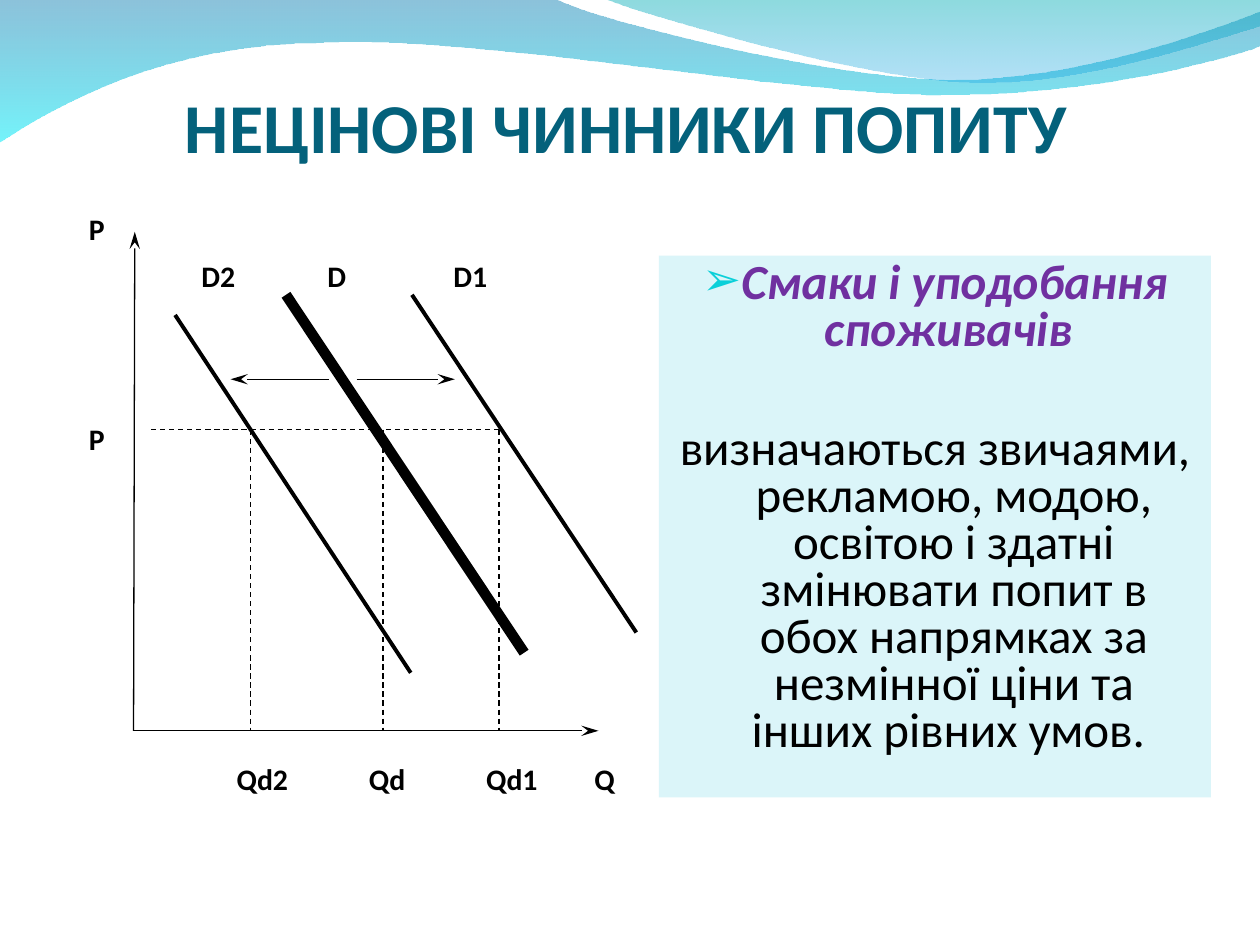
import dataclasses

import lxml.etree
import pptx
import pptx.dml.color
import pptx.enum.dml
import pptx.enum.shapes
import pptx.enum.text
import pptx.oxml.ns
import pptx.util

ALIGN = pptx.enum.text.PP_ALIGN
ANCHOR = pptx.enum.text.MSO_ANCHOR


@dataclasses.dataclass(frozen=True)
class Theme:
    font: str = "Calibri"
    title: str = "04617B"
    ink: str = "000000"
    accent: str = "7030A0"
    bullet: str = "0BD0D9"
    panel: str = "DBF5F9"
    wave: tuple = (("0079AF", 45), ("00EBF8", 55))
    crest: tuple = (("00ADB6", 45), ("009BE5", 30))
    head: int = 40
    body: int = 28
    label: int = 17


def color(code):
    return pptx.dml.color.RGBColor.from_string(code)


def add(parent, tag, **attrs):
    return lxml.etree.SubElement(parent, pptx.oxml.ns.qn(tag), attrs)


def bend(shape, parts):
    lines = iter(list(shape._element.iter(pptx.oxml.ns.qn("a:lnTo"))))
    for part in parts:
        group = [next(lines) for point in part]
        if len(group) == 3:
            curve = lxml.etree.Element(pptx.oxml.ns.qn("a:cubicBezTo"))
            group[0].addprevious(curve)
            for line in group:
                curve.append(line[0])
                line.getparent().remove(line)


class Board:
    def __init__(self, deck, theme, cols=10, rows=7.5):
        self.theme = theme
        self.slide = deck.slides.add_slide(deck.slide_layouts[6])
        self.shapes = self.slide.shapes
        self.col = deck.slide_width / cols
        self.row = deck.slide_height / rows

    def spot(self, x, y):
        return round(x * self.col), round(y * self.row)

    def wave(self, start, parts, stops):
        pen = self.shapes.build_freeform(*self.spot(*start))
        pen.add_line_segments([self.spot(*p) for part in parts for p in part], close=True)
        shape = pen.convert_to_shape()
        bend(shape, parts)
        shape.shadow.inherit = False
        shape.line.fill.background()
        shape.fill.gradient()
        shape.fill.gradient_angle = 270
        for stop, (code, alpha) in zip(shape.fill.gradient_stops, stops):
            stop.color.rgb = color(code)
        tints = shape._element.spPr.iter(pptx.oxml.ns.qn("a:srgbClr"))
        for tint, (code, alpha) in zip(tints, stops):
            add(tint, "a:alpha", val=str(alpha * 1000))

    def line(self, start, end, width=0.75, dash=False, arrow=False):
        kind = pptx.enum.shapes.MSO_CONNECTOR.STRAIGHT
        line = self.shapes.add_connector(kind, *self.spot(*start), *self.spot(*end))
        line.line.color.rgb = color(self.theme.ink)
        line.line.width = pptx.util.Pt(width)
        if dash:
            line.line.dash_style = pptx.enum.dml.MSO_LINE.DASH
        if arrow:
            add(line.line._get_or_add_ln(), "a:tailEnd", type="stealth", w="med", len="lg")
        add(line._element.spPr, "a:effectLst")

    def run(self, para, text, size, code, bold=True, italic=False):
        run = para.add_run()
        run.text = text
        font = run.font
        font.name, font.size = self.theme.font, pptx.util.Pt(size)
        font.bold, font.italic = bold, italic
        font.color.rgb = color(code)

    def text(self, at, size, text, hue, code, align=ALIGN.LEFT, anchor=ANCHOR.TOP, side=0.1):
        box = self.shapes.add_textbox(*self.spot(*at), *self.spot(*size))
        frame = box.text_frame
        frame.word_wrap = True
        frame.vertical_anchor = anchor
        frame.margin_left = frame.margin_right = round(side * self.col)
        if anchor == ANCHOR.BOTTOM:
            frame.margin_bottom = 0
        frame.paragraphs[0].alignment = align
        self.run(frame.paragraphs[0], text, hue, code)

    def label(self, x, y, text, align=ALIGN.LEFT):
        self.text((x, y), (0.66, 0.59), text, self.theme.label, self.theme.ink, align)

    def panel(self, at, size, lead, note):
        kind = pptx.enum.shapes.MSO_SHAPE.RECTANGLE
        box = self.shapes.add_shape(kind, *self.spot(*at), *self.spot(*size))
        box.shadow.inherit = False
        box.fill.solid()
        box.fill.fore_color.rgb = color(self.theme.panel)
        box.line.fill.background()
        frame = box.text_frame
        frame.word_wrap = True
        frame.vertical_anchor = ANCHOR.TOP
        first, last = frame.paragraphs[0], frame.add_paragraph()
        indent = round(0.3 * self.col)
        for para, gap in ((first, 7), (last, 41)):
            para.alignment = ALIGN.CENTER
            para.line_spacing = 0.8
            para.space_before = pptx.util.Pt(gap)
            props = para._p.get_or_add_pPr()
            props.set("marL", str(indent))
            props.set("indent", str(-indent))
        props = first._p.get_or_add_pPr()
        add(add(props, "a:buClr"), "a:srgbClr", val=self.theme.bullet)
        add(props, "a:buSzPct", val="95000")
        add(props, "a:buFont", typeface=self.theme.font)
        add(props, "a:buChar", char="➢")
        self.run(first, lead, self.theme.body, self.theme.accent, italic=True)
        self.run(last, note, self.theme.body, self.theme.ink, bold=False)


def main():
    deck = pptx.Presentation()
    deck.slide_width = pptx.util.Inches(10)
    deck.slide_height = pptx.util.Inches(7.5)
    theme = Theme()
    board = Board(deck, theme)

    board.wave((0, -0.01), [
        [(4.4, -0.01)],
        [(4.76, 0.17), (6.64, 0.63), (7.58, 0.63)],
        [(8.53, 0.63), (9.58, 0.26), (10, 0.09)],
        [(10.01, 0.36)],
        [(9.83, 0.44), (8.7, 0.76), (7.46, 0.75)],
        [(6.22, 0.75), (3.82, 0.28), (2.57, 0.34)],
        [(1.29, 0.35), (0.46, 0.83), (-0.01, 1.13)],
    ], theme.wave)
    board.wave((4.79, -0.01), [
        [(5.09, 0.11), (6.82, 0.62), (7.69, 0.65)],
        [(8.56, 0.69), (9.61, 0.32), (10, 0.21)],
        [(10, 0)],
    ], theme.crest)
    board.text((0.47, 0.39), (9, 0.94), "НЕЦІНОВІ ЧИННИКИ ПОПИТУ",
               theme.head, theme.title, ALIGN.CENTER, ANCHOR.BOTTOM, 0)
    board.panel(
        (5.23, 2.03), (4.38, 4.3), "Смаки і уподобання споживачів ",
        "визначаються звичаями, рекламою, модою, освітою і здатні змінювати "
        "попит в обох напрямках за незмінної ціни та інших рівних умов. ")

    zero, price, shift = (1.06, 5.8), 3.41, 3.01
    for end in ((1.07, 1.84), (4.75, 5.8)):
        board.line(zero, end, arrow=True)
    for start, end, width in (
        ((2.27, 2.34), (4.16, 5.18), 6),
        ((3.27, 2.34), (5.05, 5.02), 2.25),
        ((1.39, 2.5), (3.26, 5.34), 2.25),
    ):
        board.line(start, end, width)
    board.line((1.2, price), (3.96, price), dash=True)
    for x in (1.99, 3.04, 3.96):
        board.line((x, price), (x, 5.79), dash=True)
    for start, end in ((2.83, 3.61), (2.61, 1.83)):
        board.line((start, shift), (end, shift), arrow=True)

    for x, name in ((1.5, "D2"), (2.5, "D"), (3.5, "D1")):
        board.label(x, 2, name)
    for x, name in ((1.78, "Qd2"), (2.83, "Qd"), (3.76, "Qd1"), (4.62, "Q")):
        board.label(x, 5.99, name)
    for y in (1.62, 3.29):
        board.label(0.27, y, "Р", ALIGN.RIGHT)

    deck.save("out.pptx")


if __name__ == "__main__":
    main()
